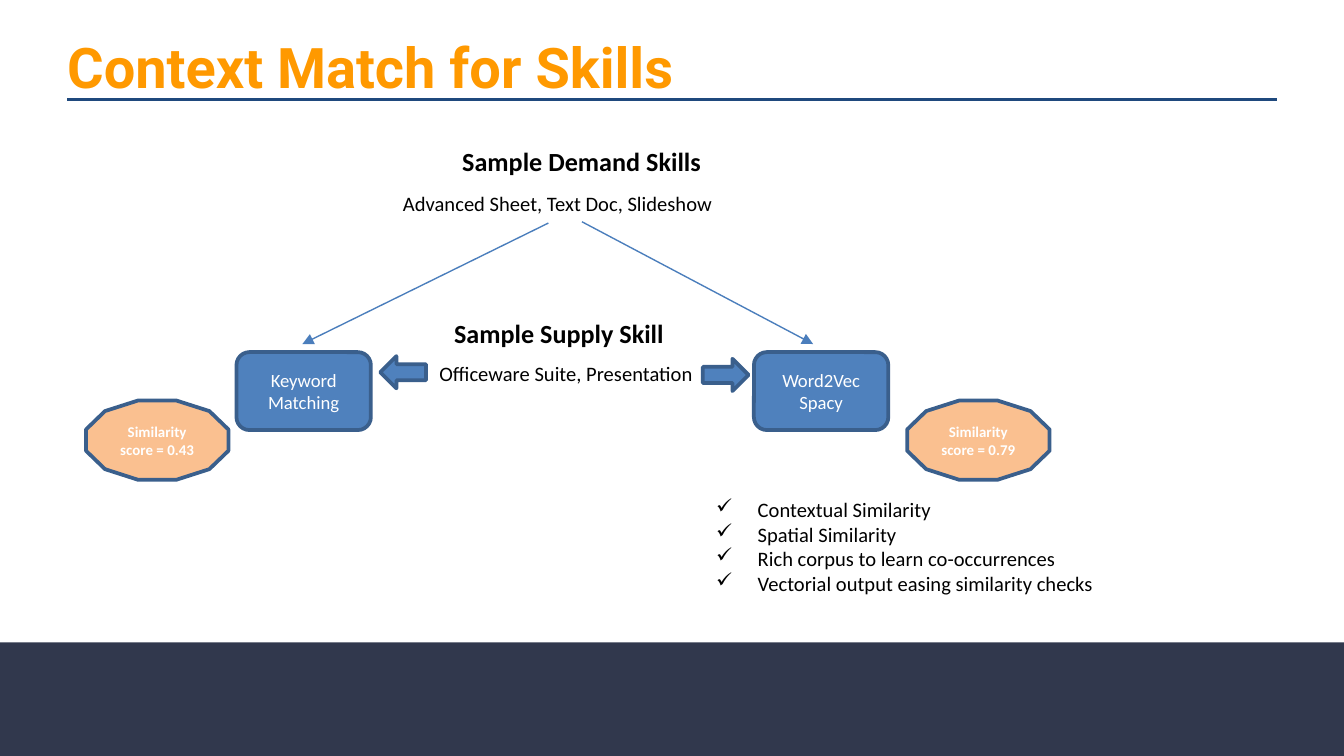
from dataclasses import dataclass

from lxml.etree import SubElement
from pptx import Presentation
from pptx.dml.color import RGBColor
from pptx.enum.shapes import MSO_CONNECTOR, MSO_SHAPE
from pptx.enum.text import MSO_ANCHOR, MSO_AUTO_SIZE, PP_ALIGN
from pptx.oxml.ns import qn
from pptx.util import Inches, Pt


@dataclass(frozen=True)
class Theme:
    title: str = "FF9900"
    rule: str = "1F497D"
    footer: str = "31384D"
    ink: str = "000000"
    light: str = "FFFFFF"
    method: str = "4F81BD"
    score: str = "FAC090"
    outline: str = "3A5F8C"
    arrow: str = "4B7EBC"
    font: str = "Calibri"
    title_font: str = "Roboto"
    title_size: int = 30
    heading_size: int = 14
    body_size: int = 11
    method_size: int = 10
    score_size: int = 8


@dataclass(frozen=True)
class Area:
    """Place and size in grid columns and rows."""
    column: float
    row: float
    columns: float
    rows: float


@dataclass(frozen=True)
class Style:
    size: int
    color: str
    bold: bool = False
    font: str = Theme.font


@dataclass(frozen=True)
class Label:
    area: Area
    lines: tuple[str, ...]
    style: Style
    bullet: str = ""
    inset: bool = True


@dataclass(frozen=True)
class Node:
    kind: MSO_SHAPE
    area: Area
    fill: str
    text: str = ""
    style: Style | None = None


@dataclass(frozen=True)
class Line:
    start: tuple[float, float]
    end: tuple[float, float]
    color: str
    width: float
    arrowhead: bool = False


# Grid: 100 columns across, 56.25 rows down
WIDTH, HEIGHT, CELL = 100, 56.25, 0.1
THEME = Theme()
TITLE = Style(THEME.title_size, THEME.title, True, THEME.title_font)
HEADING = Style(THEME.heading_size, THEME.ink, True)
BODY = Style(THEME.body_size, THEME.ink)
METHOD = Style(THEME.method_size, THEME.light)
SCORE = Style(THEME.score_size, THEME.light, True)


def grid(cells: float) -> int:
    return Inches(cells * CELL)


def place(area: Area) -> tuple[int, int, int, int]:
    return (grid(area.column), grid(area.row), grid(area.columns), grid(area.rows))


def set_all(target, values: dict) -> None:
    for name, value in values.items():
        setattr(target, name, value)


def write(para, text: str, style: Style) -> None:
    span = para.add_run()
    span.text = text
    set_all(span.font, {"name": style.font, "size": Pt(style.size), "bold": style.bold})
    span.font.color.rgb = RGBColor.from_string(style.color)


def add_bullet(para, mark: str) -> None:
    properties = para._p.get_or_add_pPr()
    properties.set("marL", str(Inches(0.31)))
    properties.set("indent", str(-Inches(0.31)))
    SubElement(properties, qn("a:buChar")).set("char", mark)


def draw_label(page, label: Label) -> None:
    box = page.shapes.add_textbox(*place(label.area))
    frame = box.text_frame
    if label.inset:
        set_all(frame, {"word_wrap": False, "auto_size": MSO_AUTO_SIZE.SHAPE_TO_FIT_TEXT})
    else:
        set_all(frame, {"word_wrap": True, "margin_left": 0, "margin_right": 0,
                        "margin_top": 0, "margin_bottom": 0})
    for index, text in enumerate(label.lines):
        para = frame.add_paragraph() if index else frame.paragraphs[0]
        if label.bullet:
            add_bullet(para, label.bullet)
        write(para, text, label.style)


def draw_node(page, node: Node, outline: str | None = THEME.outline) -> None:
    shape = page.shapes.add_shape(node.kind, *place(node.area))
    shape.shadow.inherit = False
    shape.fill.solid()
    shape.fill.fore_color.rgb = RGBColor.from_string(node.fill)
    if outline:
        shape.line.color.rgb = RGBColor.from_string(outline)
        shape.line.width = Pt(2)
    else:
        shape.line.fill.background()
    if node.style:
        set_all(shape.text_frame, {"word_wrap": True, "vertical_anchor": MSO_ANCHOR.MIDDLE})
        para = shape.text_frame.paragraphs[0]
        para.alignment = PP_ALIGN.CENTER
        write(para, node.text, node.style)


def draw_line(page, line: Line) -> None:
    ends = [grid(value) for value in line.start + line.end]
    connector = page.shapes.add_connector(MSO_CONNECTOR.STRAIGHT, *ends)
    connector.line.color.rgb = RGBColor.from_string(line.color)
    connector.line.width = Pt(line.width)
    if line.arrowhead:
        SubElement(connector.line._get_or_add_ln(), qn("a:tailEnd")).set("type", "triangle")
    SubElement(connector._element.spPr, qn("a:effectLst"))


# Content
LINES = (
    Line((5, 7.4), (95, 7.4), THEME.rule, 1.5),
    Line((40.8, 16.6), (22.5, 25.6), THEME.arrow, 0.75, True),
    Line((43.3, 16.5), (60.5, 25.6), THEME.arrow, 0.75, True),
)
LABELS = (
    Label(Area(5, 2.4, 90, 4.8), ("Context Match for Skills",), TITLE, inset=False),
    Label(Area(33.4, 10.3, 19.9, 3.4), ("Sample Demand Skills",), HEADING),
    Label(Area(29, 13.7, 26.4, 2.9), ("Advanced Sheet, Text Doc, Slideshow",), BODY),
    Label(Area(32.8, 23.1, 17.8, 3.4), ("Sample Supply Skill",), HEADING),
    Label(Area(31.7, 26.4, 20.9, 2.9), ("Officeware Suite, Presentation",), BODY),
    Label(Area(52.3, 36.5, 30.3, 10.3), (
        "Contextual Similarity",
        "Spatial Similarity",
        "Rich corpus to learn co-occurrences ",
        "Vectorial output easing similarity checks",
    ), BODY, bullet="✓"),
)
ARROWS = (
    Node(MSO_SHAPE.LEFT_ARROW, Area(28.3, 26.5, 3.4, 2.4), THEME.method),
    Node(MSO_SHAPE.RIGHT_ARROW, Area(52.3, 26.7, 3.4, 2.4), THEME.method),
)
METHODS = tuple(
    Node(MSO_SHAPE.ROUNDED_RECTANGLE, Area(column, 26.2, 10, 5.8), THEME.method, text, METHOD)
    for column, text in ((17.6, "Keyword Matching"), (56.1, "Word2Vec Spacy"))
)
SCORES = tuple(
    Node(MSO_SHAPE.DODECAGON, Area(column, 29.8, 10.6, 5.9), THEME.score,
         f"Similarity score = {value}", SCORE)
    for column, value in ((6.4, 0.43), (67.5, 0.79))
)
FOOTER = Node(MSO_SHAPE.RECTANGLE, Area(0, 47.8, WIDTH, HEIGHT - 47.8), THEME.footer)

# Build the slide
deck = Presentation()
set_all(deck, {"slide_width": grid(WIDTH), "slide_height": grid(HEIGHT)})
page = deck.slides.add_slide(deck.slide_layouts[6])
draw_node(page, FOOTER, outline=None)
for line in LINES:
    draw_line(page, line)
for label in LABELS:
    draw_label(page, label)
for node in ARROWS + METHODS + SCORES:
    draw_node(page, node)
deck.save("out.pptx")
